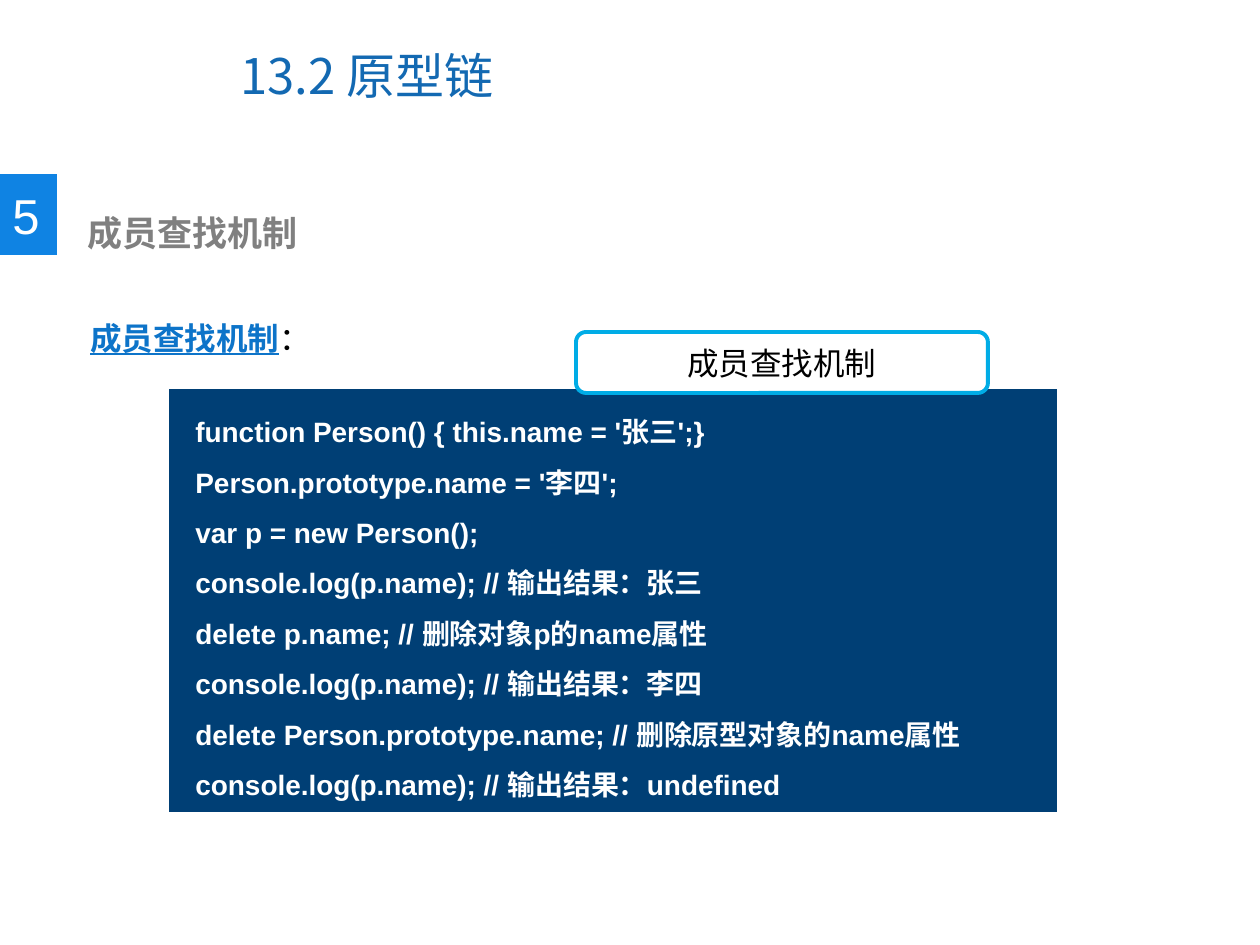
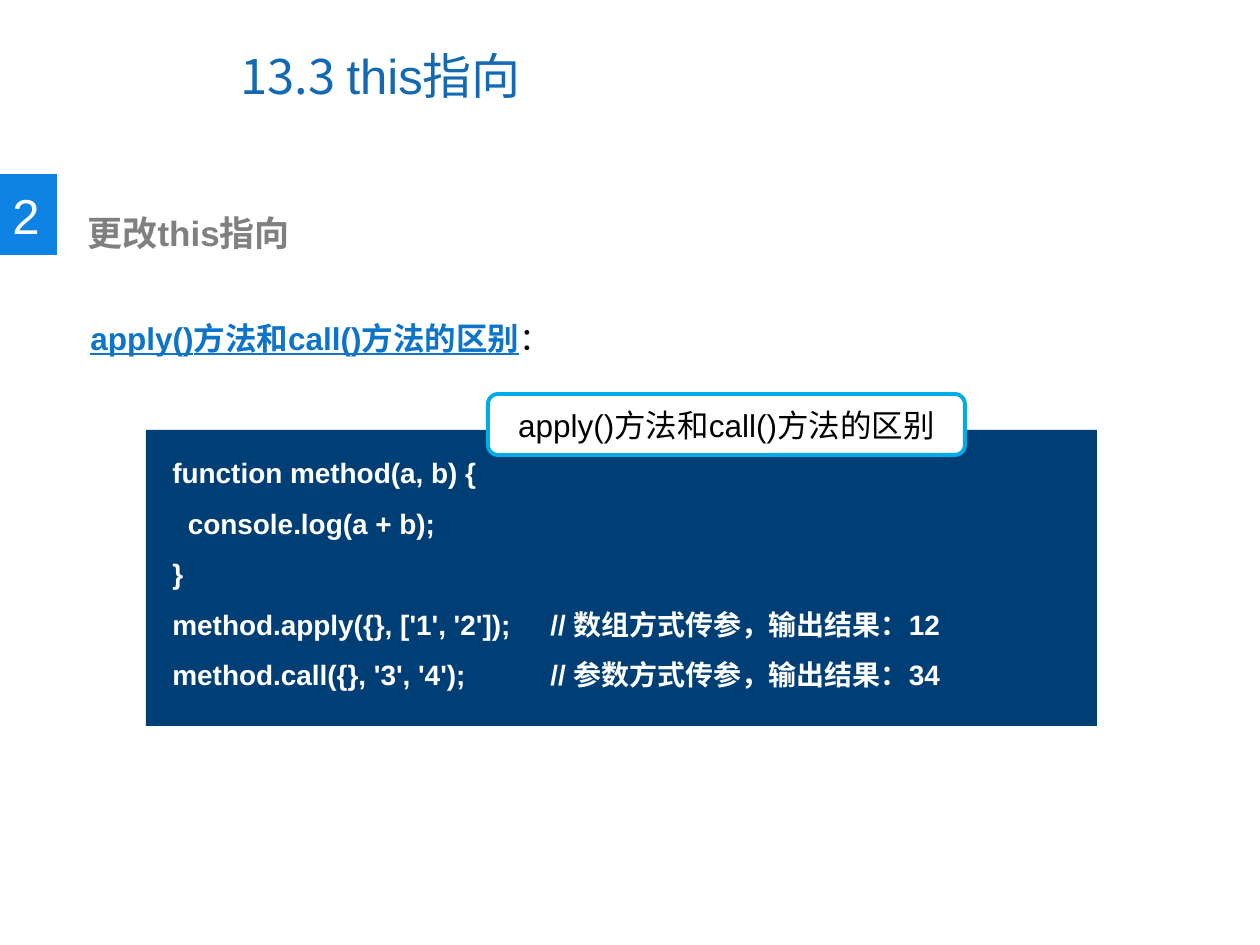
from pptx import Presentation
from pptx.dml.color import RGBColor
from pptx.enum.lang import MSO_LANGUAGE_ID as Lang
from pptx.enum.shapes import MSO_SHAPE as Shape
from pptx.enum.text import MSO_ANCHOR as Anchor, MSO_AUTO_SIZE as AutoSize, PP_ALIGN as Align
from pptx.oxml.ns import qn
from pptx.util import Emu, Pt
from lxml import etree

SLIDES = [
    {
        "title": ("13.2 ", "原型链"),
        "number": "5",
        "section": "成员查找机制",
        "topic": "成员查找机制",
        "code": [
            "function Person() { this.name = '张三';}",
            "Person.prototype.name = '李四';",
            "var p = new Person();",
            "console.log(p.name); // 输出结果：张三",
            "delete p.name; // 删除对象p的name属性",
            "console.log(p.name); // 输出结果：李四",
            "delete Person.prototype.name; // 删除原型对象的name属性",
            "console.log(p.name); // 输出结果：undefined",
        ],
        "panel": (169, 389, 888, 423),
        "label": (576, 332, 412, 61),
    },
    {
        "title": ("13.3 ", "this指向"),
        "number": "2",
        "section": "更改this指向",
        "topic": "apply()方法和call()方法的区别",
        "code": [
            "function method(a, b) {",
            "  console.log(a + b);",
            "}",
            "method.apply({}, ['1', '2']); \t// 数组方式传参，输出结果：12",
            "method.call({}, '3', '4');\t\t// 参数方式传参，输出结果：34",
        ],
        "panel": (146, 430, 951, 296),
        "label": (488, 394, 477, 61),
    },
]

PX_PER_INCH = 126
SANS, CJK = "Arial", "Noto Sans CJK SC"
WHITE, BLACK, GRAY = "FFFFFF", "000000", "808080"
TITLE_BLUE, TOPIC_BLUE, TAB_BLUE = "1369B2", "0D74C9", "0F83E3"
PANEL_BLUE, LABEL_BLUE = "003F75", "00ACE6"

TITLE_BOX = (228, 21, 650, 107)
TAB_BOX = (0, 174, 57, 81)
NUMBER_BOX = (0, 179, 53, 72)
SECTION_BOX = (75, 205, 632, 55)
TOPIC_BOX = (78, 275, 1090, 77)
CODE_INSET_X, CODE_INSET_Y = 14, 3


def px(length):
    return Emu(round(length * 914400 / PX_PER_INCH))


def rgb(color):
    return RGBColor.from_string(color)


def write(frame, paragraphs, size, color, font=SANS, bold=False, underline=False,
          spacing=None, align=Align.LEFT, anchor=Anchor.TOP, wrap=True):
    frame.word_wrap = wrap
    frame.auto_size = AutoSize.NONE
    frame.vertical_anchor = anchor
    for index, runs in enumerate(paragraphs):
        paragraph = frame.add_paragraph() if index else frame.paragraphs[0]
        paragraph.alignment = align
        if spacing:
            paragraph.line_spacing = spacing
        for words, changes in runs:
            look = {"font": font, "color": color, "bold": bold, "underline": underline, **changes}
            run = paragraph.add_run()
            run.text = words
            style = run.font
            style.size = Pt(size)
            style.bold = look["bold"]
            style.underline = look["underline"]
            style.language_id = Lang.SIMPLIFIED_CHINESE
            style.color.rgb = rgb(look["color"])
            style.name = look["font"]
            latin = run._r.rPr.find(qn("a:latin"))
            east_asian = etree.Element(qn("a:ea"), typeface=look["font"])
            latin.addnext(east_asian)


def add_text(shapes, box, paragraphs, **look):
    write(shapes.add_textbox(*map(px, box)).text_frame, paragraphs, **look)


def add_block(shapes, kind, box, fill, line=None):
    block = shapes.add_shape(kind, *map(px, box))
    block.shadow.inherit = False
    block.fill.solid()
    block.fill.fore_color.rgb = rgb(fill)
    if line:
        block.line.color.rgb = rgb(line)
        block.line.width = Pt(2.25)
    else:
        block.line.fill.background()
    return block


def add_title(slide, chapter, name):
    title = slide.shapes.title
    title.left, title.top, title.width, title.height = map(px, TITLE_BOX)
    write(title.text_frame, [[(chapter, {"font": CJK}), (name, {})]],
          size=28, color=TITLE_BLUE, anchor=Anchor.MIDDLE)


def add_section(shapes, number, section):
    tab = shapes.add_group_shape().shapes
    add_block(tab, Shape.RECTANGLE, TAB_BOX, TAB_BLUE)
    add_text(tab, NUMBER_BOX, [[(number, {})]], size=28, color=WHITE, wrap=False)
    add_text(shapes, SECTION_BOX, [[(section, {})]], size=20, color=GRAY, bold=True)


def add_code(shapes, panel, lines):
    left, top, width, height = panel
    listing = shapes.add_group_shape().shapes
    add_block(listing, Shape.RECTANGLE, panel, PANEL_BLUE)
    code_box = (left + CODE_INSET_X, top + CODE_INSET_Y,
                width - CODE_INSET_X, height - CODE_INSET_Y)
    add_text(listing, code_box, [[(line, {})] for line in lines],
             size=16, color=WHITE, bold=True, spacing=1.5)


def add_label(shapes, box, topic):
    label = add_block(shapes, Shape.ROUNDED_RECTANGLE, box, WHITE, LABEL_BLUE)
    write(label.text_frame, [[(topic, {})]], size=18, color=BLACK,
          align=Align.CENTER, anchor=Anchor.MIDDLE)


def main():
    deck = Presentation()
    deck.slide_width, deck.slide_height = px(1260), px(945)
    title_only = deck.slide_layouts[5]
    colon = ("：", {"color": BLACK, "bold": False, "underline": False})
    for content in SLIDES:
        slide = deck.slides.add_slide(title_only)
        shapes = slide.shapes
        add_title(slide, *content["title"])
        add_text(shapes, TOPIC_BOX, [[(content["topic"], {}), colon]],
                 size=18, color=TOPIC_BLUE, bold=True, underline=True, spacing=2.0)
        add_section(shapes, content["number"], content["section"])
        add_code(shapes, content["panel"], content["code"])
        add_label(shapes, content["label"], content["topic"])
    deck.save("out.pptx")


if __name__ == "__main__":
    main()
